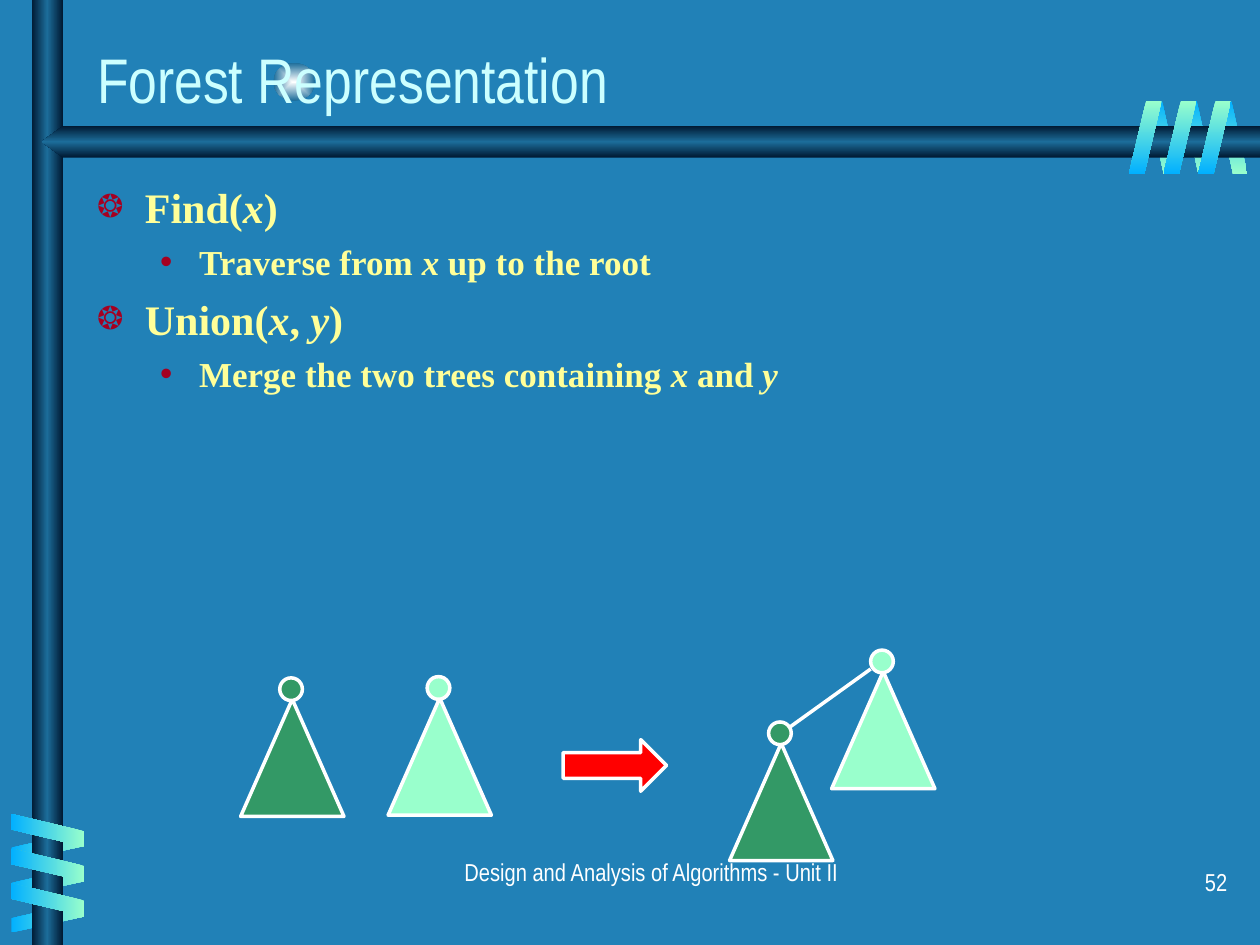
from dataclasses import dataclass
from typing import Optional

from pptx import Presentation
from pptx.dml.color import RGBColor
from pptx.enum.shapes import MSO_CONNECTOR, MSO_SHAPE
from pptx.enum.text import MSO_ANCHOR, MSO_AUTO_SIZE, PP_ALIGN
from pptx.oxml import parse_xml
from pptx.oxml.ns import nsdecls, qn
from pptx.util import Inches, Pt

CELL = 0.25  # the slide is a grid of 40 columns by 30 rows
COLUMNS, ROWS = 40, 30
ELLIPSE, RECTANGLE = MSO_SHAPE.OVAL, MSO_SHAPE.RECTANGLE
TRIANGLE, ARROW = MSO_SHAPE.ISOSCELES_TRIANGLE, MSO_SHAPE.RIGHT_ARROW
PARALLELOGRAM = MSO_SHAPE.PARALLELOGRAM
LEFT, CENTER, RIGHT = PP_ALIGN.LEFT, PP_ALIGN.CENTER, PP_ALIGN.RIGHT


@dataclass(frozen=True)
class Theme:
    background: str = "2181B7"
    title: str = "CCFFFF"
    body: str = "FFFF99"
    white: str = "FFFFFF"
    bullet: str = "A50021"
    dark_tree: str = "339966"
    light_tree: str = "99FFCC"
    arrow: str = "FF0000"
    glow: tuple = ("FEFFFF", "1C6D9A")
    bar: tuple = ("001932", "1C6D9A", "001932")
    coil_front: tuple = ("99FFCC", "01B0FF")
    coil_back: tuple = ("01B0FF", "99FFCC")
    heading_font: str = "Arial Narrow"
    body_font: str = "Times New Roman"
    title_size: int = 36
    footer_size: int = 14
    outline: int = 2


@dataclass(frozen=True)
class Area:
    """A place on the grid, in columns and rows."""
    column: float
    row: float
    width: float
    height: float

    def lengths(self) -> tuple:
        return tuple(map(cells, (self.column, self.row, self.width, self.height)))


@dataclass(frozen=True)
class Level:
    size: int
    margin: float
    hang: float
    before: int
    bullet: str
    bullet_percent: int


@dataclass(frozen=True)
class Coil:
    first: Area
    step: tuple
    colors: tuple
    angle: int
    rotation: int = 0
    flipped: bool = False


@dataclass(frozen=True)
class Tree:
    column: float
    row: float
    color: str


THEME = Theme()
LEVELS = (Level(24, 0.38, 0.38, 6, "❂", 75), Level(20, 0.81, 0.31, 5, "•", 100))
# Every second span of a line is a variable, set in italics.
LINES = (
    (0, ("Find(", "x", ")")),
    (1, ("Traverse from ", "x", " up to the root")),
    (0, ("Union(", "x", ", ", "y", ")")),
    (1, ("Merge the two trees containing ", "x", " and ", "y")),
)
BACK_COILS = (
    Coil(Area(36.44, 3.2, 0.96, 2.32), (1.1, 0), THEME.coil_back, 90, 180, True),
    Coil(Area(1.04, 25.72, 0.96, 2.32), (0, 1.12), THEME.coil_back, 180, 90, True),
)
FRONT_COILS = (
    Coil(Area(1, 25.2, 1.04, 2.32), (0, 1.1), THEME.coil_front, 180, 270),
    Coil(Area(35.84, 3.2, 1.04, 2.32), (1.1, 0), THEME.coil_front, 90),
)
TREES = (
    Tree(7.64, 22.2, THEME.dark_tree),
    Tree(12.32, 22.16, THEME.light_tree),
    Tree(23.16, 23.6, THEME.dark_tree),
    Tree(26.4, 21.32, THEME.light_tree),
)


def cells(count: float) -> int:
    return Inches(count * CELL)


def rgb(color: str) -> RGBColor:
    return RGBColor.from_string(color)


def paint_gradient(shape, colors: tuple, angle: Optional[int]) -> None:
    """Fill with evenly spaced colours; without an angle they spread from the centre."""
    last = len(colors) - 1
    stops = "".join(
        f'<a:gs pos="{100000 * i // last}"><a:srgbClr val="{color}"/></a:gs>'
        for i, color in enumerate(colors))
    if angle is None:
        course = ('<a:path path="rect"><a:fillToRect l="50000" t="50000" '
                  'r="50000" b="50000"/></a:path>')
    else:
        course = f'<a:lin ang="{angle * 60000}" scaled="0"/>'
    shape.shadow.inherit = False
    shape.line.fill.background()
    shape.fill.background()
    properties = shape.element.spPr
    properties.replace(properties.find(qn("a:noFill")), parse_xml(
        f'<a:gradFill rotWithShape="0" {nsdecls("a")}>'
        f'<a:gsLst>{stops}</a:gsLst>{course}</a:gradFill>'))


def add_outlined(page, kind, area: Area, color: str) -> None:
    shape = page.shapes.add_shape(kind, *area.lengths())
    shape.shadow.inherit = False
    shape.fill.solid()
    shape.fill.fore_color.rgb = rgb(color)
    shape.line.color.rgb = rgb(THEME.white)
    shape.line.width = Pt(THEME.outline)


def add_coil(page, coil: Coil) -> None:
    first = coil.first
    for turn in range(3):
        area = Area(first.column + turn * coil.step[0],
                    first.row + turn * coil.step[1], first.width, first.height)
        strip = page.shapes.add_shape(PARALLELOGRAM, *area.lengths())
        strip.adjustments[0] = 0.53
        strip.rotation = coil.rotation
        if coil.flipped:
            strip.element.spPr.get_or_add_xfrm().set("flipH", "1")
        paint_gradient(strip, coil.colors, coil.angle)


def add_decoration(page) -> None:
    glow = page.shapes.add_shape(ELLIPSE, *Area(8.68, 2, 1.32, 1.2).lengths())
    paint_gradient(glow, THEME.glow, None)
    for coil in BACK_COILS:
        add_coil(page, coil)
    upright = page.shapes.add_shape(RECTANGLE, *Area(1, 0, 1, ROWS).lengths())
    paint_gradient(upright, THEME.bar, 180)
    outline = page.shapes.build_freeform(cells(COLUMNS), cells(4))
    outline.add_line_segments([(cells(x), cells(y)) for x, y in (
        (2, 4), (1.32, 4.5), (2, 5), (COLUMNS, 5))], close=True)
    paint_gradient(outline.convert_to_shape(), THEME.bar, 90)
    for coil in FRONT_COILS:
        add_coil(page, coil)


def place(box, area: Area, anchor) -> None:
    box.left, box.top, box.width, box.height = area.lengths()
    frame = box.text_frame
    frame.word_wrap = True
    frame.auto_size = MSO_AUTO_SIZE.NONE
    frame.vertical_anchor = anchor


def style(span, font: str, size: int, color: str) -> None:
    span.font.name = font
    span.font.size = Pt(size)
    span.font.color.rgb = rgb(color)


def set_line(box, text: str, size: int, color: str, alignment, before: float) -> None:
    para = box.text_frame.paragraphs[0]
    para.text = text
    para.alignment = alignment
    para.space_before = Pt(before)
    style(para.runs[0], THEME.heading_font, size, color)


def add_bullet(para, level: Level) -> None:
    properties = para._p.get_or_add_pPr()
    properties.set("marL", str(Inches(level.margin)))
    properties.set("indent", str(-Inches(level.hang)))
    for tag in (f'buClr {nsdecls("a")}><a:srgbClr val="{THEME.bullet}"/></a:buClr',
                f'buSzPct {nsdecls("a")} val="{level.bullet_percent * 1000}"/',
                f'buChar {nsdecls("a")} char="{level.bullet}"/'):
        properties.append(parse_xml(f"<a:{tag}>"))


def fill_body(body) -> None:
    frame = body.text_frame
    for index, (depth, spans) in enumerate(LINES):
        para = frame.add_paragraph() if index else frame.paragraphs[0]
        level = LEVELS[depth]
        para.level = depth
        para.space_before = Pt(level.before)
        add_bullet(para, level)
        for position, text in enumerate(spans):
            span = para.add_run()
            span.text = text
            style(span, THEME.body_font, level.size, THEME.body)
            span.font.bold = True
            span.font.italic = position % 2 == 1


def add_tree(page, tree: Tree) -> None:
    add_outlined(page, TRIANGLE, Area(tree.column, tree.row, 3.28, 3.72), tree.color)
    root = Area(tree.column + 1.24, tree.row - 0.68, 0.72, 0.72)
    add_outlined(page, ELLIPSE, root, tree.color)


def add_link(page, start: tuple, end: tuple) -> None:
    link = page.shapes.add_connector(MSO_CONNECTOR.STRAIGHT, *map(cells, start + end))
    link.line.color.rgb = rgb(THEME.white)
    link.line.width = Pt(THEME.outline)
    link.element.spPr.append(parse_xml(f'<a:effectLst {nsdecls("a")}/>'))


def add_footer(page, text: str, area: Area, alignment) -> None:
    box = page.shapes.add_textbox(*area.lengths())
    place(box, area, MSO_ANCHOR.TOP)
    set_line(box, text, THEME.footer_size, THEME.white, alignment, 8.8)


def main() -> None:
    deck = Presentation()
    deck.slide_width, deck.slide_height = cells(COLUMNS), cells(ROWS)
    page = deck.slides.add_slide(deck.slide_layouts[1])
    page.background.fill.solid()
    page.background.fill.fore_color.rgb = rgb(THEME.background)
    title, body = page.placeholders
    add_decoration(page)
    for box in (title, body):  # bring the text in front of the decoration
        box.element.getparent().append(box.element)
    place(title, Area(2.68, 0.88, 33.2, 3), MSO_ANCHOR.BOTTOM)
    set_line(title, "Forest Representation", THEME.title_size, THEME.title, LEFT, 0)
    place(body, Area(2.68, 5.56, 36.32, 21.44), MSO_ANCHOR.TOP)
    fill_body(body)
    for tree in TREES:
        add_tree(page, tree)
    add_link(page, (27.64, 21.24), (25.08, 23.08))
    add_outlined(page, ARROW, Area(17.88, 23.48, 3.28, 1.64), THEME.arrow)
    add_footer(page, "Design and Analysis of Algorithms - Unit II",
               Area(6.68, 27, 28, 2), CENTER)
    add_footer(page, "52", Area(31.04, 27.32, 8.32, 2), RIGHT)
    deck.save("out.pptx")


if __name__ == "__main__":
    main()
